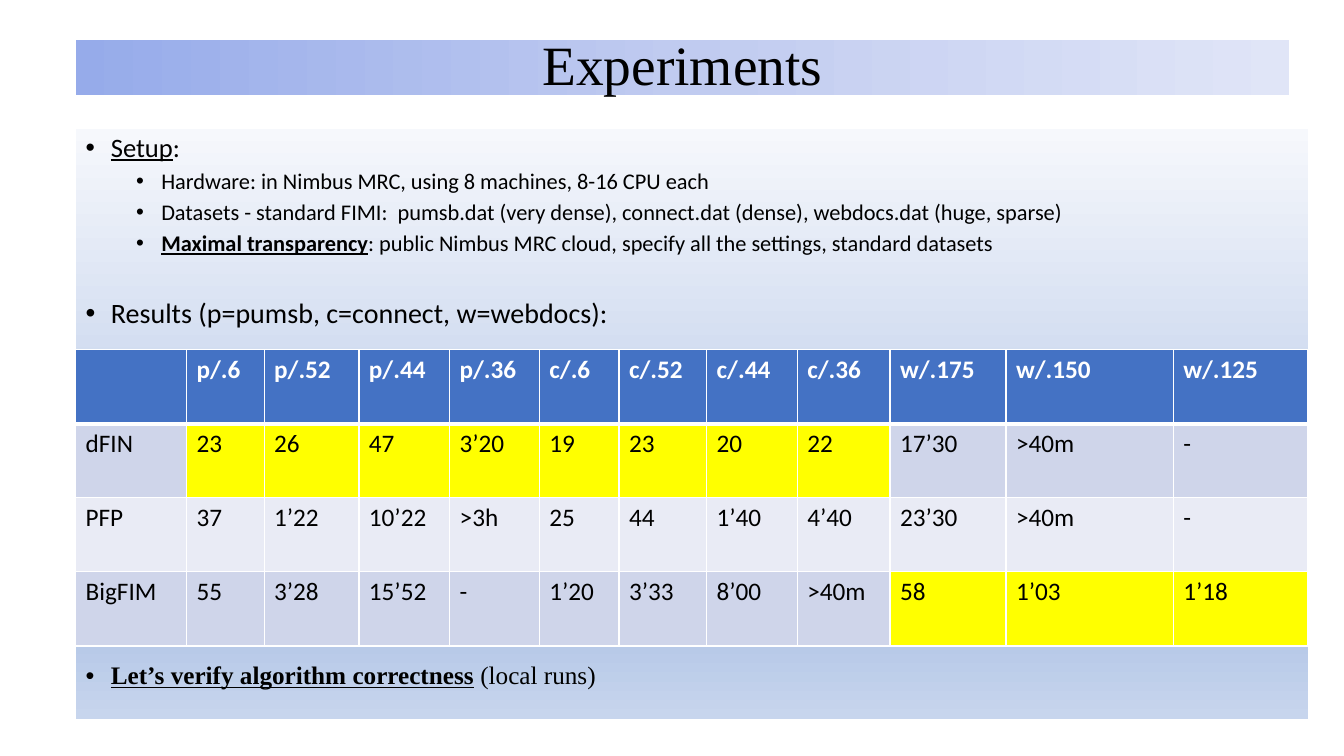
from dataclasses import dataclass

from lxml.etree import SubElement
from pptx import Presentation
from pptx.dml.color import RGBColor
from pptx.enum.text import MSO_ANCHOR, MSO_AUTO_SIZE, PP_ALIGN
from pptx.oxml import parse_xml
from pptx.oxml.ns import nsdecls, qn
from pptx.util import Pt


@dataclass(frozen=True)
class Theme:
    sans: str = "Calibri"
    serif: str = "Times New Roman"
    black: str = "000000"
    white: str = "FFFFFF"
    header: str = "4472C4"
    odd_row: str = "CFD5EA"
    even_row: str = "E9EBF5"
    best: str = "FFFF00"
    title_gradient: tuple = ((0, "96ABEA"), (50, "C0CBF0"), (100, "E0E5F7"))
    body_gradient: tuple = ((0, "F6F8FC"), (78, "ABC0E4"), (100, "C7D5ED"))
    title_size: float = 39.6
    setup_size: int = 19
    results_size: int = 20
    detail_size: int = 16
    text_size: int = 18


THEME = Theme()
LEFT = 54
BODY_WIDTH = 880.5
ROW_HEIGHT = 52.9
COLUMN_WIDTHS = (79.2, 55.5, 67.7, 64.8, 64.1, 56.9, 62.6, 64.8, 66.2, 82.8, 119.5, 95.8)
RESULTS = (
    ("", "p/.6", "p/.52", "p/.44", "p/.36", "c/.6", "c/.52", "c/.44", "c/.36",
     "w/.175", "w/.150", "w/.125"),
    ("dFIN", "23", "26", "47", "3’20", "19", "23", "20", "22", "17’30", ">40m", "-"),
    ("PFP", "37", "1’22", "10’22", ">3h", "25", "44", "1’40", "4’40", "23’30", ">40m", "-"),
    ("BigFIM", "55", "3’28", "15’52", "-", "1’20", "3’33", "8’00", ">40m",
     "58", "1’03", "1’18"),
)
BEST_COLUMNS = {1: range(1, 9), 3: range(9, 12)}


def place(shape, left, top, width, height):
    shape.left, shape.top = Pt(left), Pt(top)
    shape.width, shape.height = Pt(width), Pt(height)


def fill_gradient(shape, stops, angle):
    """Fill with (percent, colour) stops; the angle is clockwise in degrees."""
    stop_xml = "".join(
        f'<a:gs pos="{percent * 1000}"><a:srgbClr val="{colour}"/></a:gs>'
        for percent, colour in stops)
    gradient = parse_xml(
        f'<a:gradFill {nsdecls("a")} rotWithShape="1"><a:gsLst>{stop_xml}</a:gsLst>'
        f'<a:lin ang="{angle * 60000}" scaled="0"/></a:gradFill>')
    shape.fill.background()
    properties = shape._element.spPr
    properties.replace(properties.find(qn("a:noFill")), gradient)


def add_run(paragraph, text, size, font=THEME.sans, colour=THEME.black,
            bold=False, underline=False):
    run = paragraph.add_run()
    run.text = text
    run.font.name = font
    run.font.size = Pt(size)
    run.font.bold = bold
    run.font.underline = underline
    run.font.color.rgb = RGBColor.from_string(colour)


def format_bullet(paragraph, level, space_before):
    paragraph.level = level
    paragraph.line_spacing = 0.9
    paragraph.space_before = Pt(space_before)
    properties = paragraph._p.get_or_add_pPr()
    properties.set("marL", str(Pt(18 + 36 * level)))
    properties.set("indent", str(Pt(-18)))
    SubElement(properties, qn("a:buFont"), typeface="Arial")
    SubElement(properties, qn("a:buChar"), char="•")


def fill_title(title):
    place(title, LEFT, 28.8, 866.9, 38.9)
    fill_gradient(title, THEME.title_gradient, 0)
    frame = title.text_frame
    frame.auto_size = MSO_AUTO_SIZE.NONE
    frame.vertical_anchor = MSO_ANCHOR.MIDDLE
    paragraph = frame.paragraphs[0]
    paragraph.alignment = PP_ALIGN.CENTER
    paragraph.line_spacing = 0.9
    add_run(paragraph, "Experiments", THEME.title_size, THEME.serif)


def fill_body(body):
    place(body, LEFT, 92.2, BODY_WIDTH, 421.2)
    fill_gradient(body, THEME.body_gradient, 90)
    marked = {"underline": True}
    strong = {"bold": True, "underline": True}
    serif = {"font": THEME.serif}
    # Level, space before, type size, runs; the last gap leaves room for the table.
    items = (
        (0, 10, THEME.setup_size, (("Setup", marked), (":", {}))),
        (1, 5, THEME.detail_size,
         (("Hardware: in Nimbus MRC, using 8 machines, 8-16 CPU each", {}),)),
        (1, 5, THEME.detail_size,
         (("Datasets - standard FIMI:  pumsb.dat (very dense), connect.dat (dense), "
           "webdocs.dat (huge, sparse)", {}),)),
        (1, 5, THEME.detail_size,
         (("Maximal transparency", strong),
          (": public Nimbus MRC cloud, specify all the settings, standard datasets", {}))),
        (0, 30.5, THEME.results_size, (("Results (p=pumsb, c=connect, w=webdocs):", {}),)),
        (0, 238.5, THEME.text_size,
         (("Let’s verify algorithm correctness", strong | serif), (" (local runs)", serif))),
    )
    frame = body.text_frame
    frame.auto_size = MSO_AUTO_SIZE.NONE
    frame.vertical_anchor = MSO_ANCHOR.TOP
    for index, (level, space_before, size, runs) in enumerate(items):
        paragraph = frame.add_paragraph() if index else frame.paragraphs[0]
        format_bullet(paragraph, level, space_before)
        for text, style in runs:
            add_run(paragraph, text, size, **style)


def cell_colour(row, column):
    if row == 0:
        return THEME.header
    if column in BEST_COLUMNS.get(row, ()):
        return THEME.best
    return THEME.odd_row if row % 2 else THEME.even_row


def set_borders(cell, bottom_width):
    properties = cell._tc.get_or_add_tcPr()
    widths = (("lnL", 1), ("lnR", 1), ("lnT", 1), ("lnB", bottom_width))
    for index, (side, width) in enumerate(widths):
        properties.insert(index, parse_xml(
            f'<a:{side} {nsdecls("a")} w="{Pt(width)}"><a:solidFill>'
            f'<a:srgbClr val="{THEME.white}"/></a:solidFill></a:{side}>'))


def add_results_table(slide):
    table = slide.shapes.add_table(
        len(RESULTS), len(COLUMN_WIDTHS), Pt(LEFT), Pt(249.8),
        Pt(BODY_WIDTH), Pt(ROW_HEIGHT * len(RESULTS))).table
    for column, width in zip(table.columns, COLUMN_WIDTHS):
        column.width = Pt(width)
    for row, values in enumerate(RESULTS):
        table.rows[row].height = Pt(ROW_HEIGHT)
        is_header = row == 0
        for column, value in enumerate(values):
            cell = table.cell(row, column)
            cell.fill.solid()
            cell.fill.fore_color.rgb = RGBColor.from_string(cell_colour(row, column))
            set_borders(cell, 3 if is_header else 1)
            if value:
                add_run(cell.text_frame.paragraphs[0], value, THEME.text_size,
                        colour=THEME.white if is_header else THEME.black, bold=is_header)


def main():
    presentation = Presentation()
    presentation.slide_width, presentation.slide_height = Pt(960), Pt(540)
    slide = presentation.slides.add_slide(presentation.slide_layouts[1])
    fill_title(slide.shapes.title)
    fill_body(slide.placeholders[1])
    add_results_table(slide)
    presentation.save("out.pptx")


if __name__ == "__main__":
    main()
